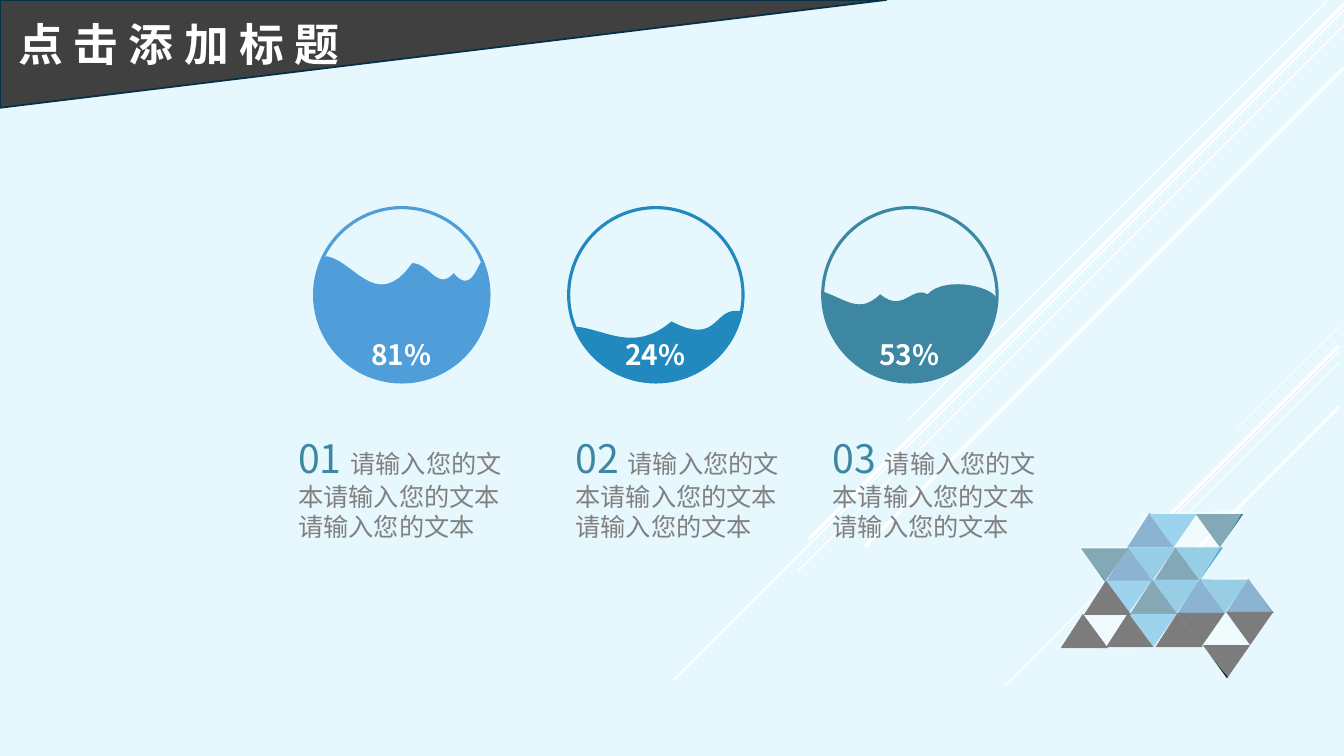
from typing import NamedTuple

from lxml.etree import SubElement
from pptx import Presentation
from pptx.dml.color import RGBColor
from pptx.enum.shapes import MSO_CONNECTOR, MSO_SHAPE
from pptx.enum.text import MSO_AUTO_SIZE, PP_ALIGN
from pptx.oxml.ns import qn
from pptx.util import Pt

PX = 9144  # EMU per px, 100 px to the inch
FONT = "Noto Sans CJK SC"
COLORS = {
    "background": "E4F8FD", "white": "FFFFFF", "black": "000000",
    "banner": "404040", "banner edge": "043148", "body": "808080", "number": "3D87A3",
    "blue": "1F6BA5", "teal": "0E5671", "sky": "40ABDB", "azure": "349FCD",
    "light": "4F9DD9", "medium": "2289BF", "deep": "3D87A3",
}
Point = tuple[float, float]


class Ray(NamedTuple):
    """A white line that runs down to the left at 45 degrees."""
    x: int
    y: int
    run: int
    weight: float


class Tile(NamedTuple):
    tip: Point
    color: str
    up: bool


class Gauge(NamedTuple):
    number: str
    percent: str
    color: str
    text_left: int
    water: list[Point]  # start, then three Bézier points per curve


LOWER_RAYS = [Ray(1328, 324, 102, 0.75), Ray(1328, 349, 332, 0.75), Ray(1328, 360, 211, 0.75),
              Ray(1328, 343, 195, 2.25), Ray(1328, 404, 142, 2.25)]
UPPER_RAYS = [Ray(1316, 1, 416, 1), Ray(1333, 10, 665, 1), Ray(1333, 25, 542, 1),
              Ray(1333, 4, 531, 2.5), Ray(1333, 67, 475, 2.5)]
TILES = [
    Tile((1140, 509), "blue", True), Tile((1166, 543), "teal", True),
    Tile((1119, 543), "blue", True), Tile((1238, 574), "blue", True),
    Tile((1190, 574), "blue", True), Tile((1143, 575), "teal", True),
    Tile((1210, 543), "teal", False), Tile((1164, 543), "sky", False),
    Tile((1190, 576), "azure", False), Tile((1143, 576), "azure", False),
    Tile((1096, 577), "teal", False), Tile((1215, 608), "azure", False),
    Tile((1167, 608), "azure", False), Tile((1119, 609), "sky", False),
    Tile((1240, 640), "black", False), Tile((1192, 641), "black", False),
    Tile((1168, 608), "black", True), Tile((1217, 673), "black", False),
    Tile((1144, 642), "sky", False), Tile((1097, 576), "black", True),
    Tile((1074, 609), "black", True), Tile((1119, 608), "black", True),
]
TILE_VEIL = [(1118, 542), (1135, 510), (1234, 506), (1190, 576), (1237, 572), (1263, 609),
             (1218, 672), (1194, 643), (1048, 644), (1096, 576), (1070, 543)]
GAUGES = [
    Gauge("01", "81%", "light", 286, [
        (480, 263), (493, 300), (479, 342), (447, 364), (415, 386), (371, 384), (341, 358),
        (312, 332), (303, 290), (320, 254), (349, 253), (372, 313), (409, 261),
        (427, 262), (434, 289), (450, 271), (471, 297), (476, 246), (480, 263)]),
    Gauge("02", "24%", "medium", 561, [
        (735, 309), (728, 347), (697, 375), (659, 379), (620, 382), (584, 360), (570, 324),
        (600, 326), (628, 351), (666, 319), (714, 344), (707, 303), (735, 309)]),
    Gauge("03", "53%", "deep", 816, [
        (988, 299), (985, 346), (944, 381), (897, 378), (850, 376), (814, 336), (815, 289),
        (840, 297), (852, 312), (873, 292), (896, 311), (904, 283), (920, 292),
        (938, 272), (993, 286), (988, 299)]),
]
BODY = "请输入您的文本" * 3
GAUGE_LEFT, GAUGE_PITCH, GAUGE_TOP, GAUGE_SIZE = 312, 252, 206, 173


def rgb(color: str) -> RGBColor:
    return RGBColor.from_string(COLORS[color])


def paint(shape, fill: str | None = None, line: str | None = None,
          weight: float = 0, opacity: int = 100) -> None:
    shape.shadow.inherit = False
    if fill:
        shape.fill.solid()
        shape.fill.fore_color.rgb = rgb(fill)
        if opacity < 100:
            tint = shape._element.spPr.find(f"{qn('a:solidFill')}/{qn('a:srgbClr')}")
            SubElement(tint, qn("a:alpha"), val=str(opacity * 1000))
    else:
        shape.fill.background()
    if line:
        shape.line.color.rgb = rgb(line)
        shape.line.width = Pt(weight)
    else:
        shape.line.fill.background()


def add_preset(shapes, kind: MSO_SHAPE, left: int, top: int, width: int, height: int):
    return shapes.add_shape(kind, left * PX, top * PX, width * PX, height * PX)


def add_outline(shapes, points: list[Point], fill: str, opacity: int = 100) -> None:
    (x, y), *rest = [(round(px * PX), round(py * PX)) for px, py in points]
    builder = shapes.build_freeform(x, y)
    builder.add_line_segments(rest, close=True)
    paint(builder.convert_to_shape(), fill, opacity=opacity)


def add_ray(shapes, ray: Ray) -> None:
    line = shapes.add_connector(MSO_CONNECTOR.STRAIGHT, ray.x * PX, ray.y * PX,
                                (ray.x - ray.run) * PX, (ray.y + ray.run) * PX)
    line.line.color.rgb = rgb("white")
    line.line.width = Pt(ray.weight)
    SubElement(line._element.spPr, qn("a:effectLst"))


def add_tile(shapes, tile: Tile) -> None:
    x, y = tile.tip
    base = [(25, 34), (-22, 34)] if tile.up else [(-24, -33), (23, -33)]
    add_outline(shapes, [tile.tip] + [(x + dx, y + dy) for dx, dy in base], tile.color)


def trace_curves(points: list[Point], steps: int = 16) -> list[Point]:
    """Points along a chain of cubic Bézier curves."""
    traced = [points[0]]
    for i in range(0, len(points) - 1, 3):
        for step in range(1, steps + 1):
            t = step / steps
            weights = ((1 - t) ** 3, 3 * t * (1 - t) ** 2, 3 * t * t * (1 - t), t ** 3)
            controls = list(zip(weights, points[i:i + 4]))
            traced.append((sum(w * p[0] for w, p in controls),
                           sum(w * p[1] for w, p in controls)))
    return traced


def add_text(shapes, left: int, top: int, width: int, height: int):
    """Add a wrapping text box and return its paragraph, set in the slide's font."""
    frame = shapes.add_textbox(left * PX, top * PX, width * PX, height * PX).text_frame
    frame.word_wrap = True
    frame.auto_size = MSO_AUTO_SIZE.SHAPE_TO_FIT_TEXT
    paragraph = frame.paragraphs[0]
    paragraph.font.name = FONT
    SubElement(paragraph.font._element, qn("a:ea"), typeface=FONT)
    return paragraph


def style(font, size: int, color: str, bold: bool = False) -> None:
    font.size = Pt(size)
    font.bold = bold
    font.color.rgb = rgb(color)


def add_gauge(shapes, gauge: Gauge, left: int) -> None:
    ring = add_preset(shapes, MSO_SHAPE.OVAL, left, GAUGE_TOP, GAUGE_SIZE, GAUGE_SIZE)
    paint(ring, line=gauge.color, weight=2.25)
    add_outline(shapes, trace_curves(gauge.water), gauge.color)

    percent = add_text(shapes, left + 31, 330, 110, 44)
    percent.text = gauge.percent
    percent.alignment = PP_ALIGN.CENTER
    style(percent.font, 20, "white", bold=True)

    caption = add_text(shapes, gauge.text_left, 426, 231, 118)
    caption.space_after = Pt(6)
    for text, size, color in ((gauge.number + " ", 28, "number"), (BODY, 18, "body")):
        run = caption.add_run()
        run.text = text
        style(run.font, size, color)


def main() -> None:
    deck = Presentation()
    deck.slide_width, deck.slide_height = 1333 * PX, 750 * PX
    slide = deck.slides.add_slide(deck.slide_layouts[6])
    slide.background.fill.solid()
    slide.background.fill.fore_color.rgb = rgb("background")
    shapes = slide.shapes

    for ray in LOWER_RAYS:
        add_ray(shapes, ray)
    for tile in TILES:
        add_tile(shapes, tile)
    for ray in UPPER_RAYS:
        add_ray(shapes, ray)
    slide_veil = add_preset(shapes, MSO_SHAPE.RECTANGLE, 3, 0, 1330, 750)
    paint(slide_veil, "white", opacity=9)
    add_outline(shapes, TILE_VEIL, "white", opacity=44)

    for i, gauge in enumerate(GAUGES):
        add_gauge(shapes, gauge, GAUGE_LEFT + i * GAUGE_PITCH)

    banner = add_preset(shapes, MSO_SHAPE.RIGHT_TRIANGLE, 0, 0, 879, 107)
    banner._element.spPr.xfrm.set("flipV", "1")
    paint(banner, "banner", "banner edge", 1.25)
    title = add_text(shapes, 9, 12, 474, 64)
    title.text = "点 击 添 加 标 题"
    style(title.font, 32, "white", bold=True)

    deck.save("out.pptx")


if __name__ == "__main__":
    main()
